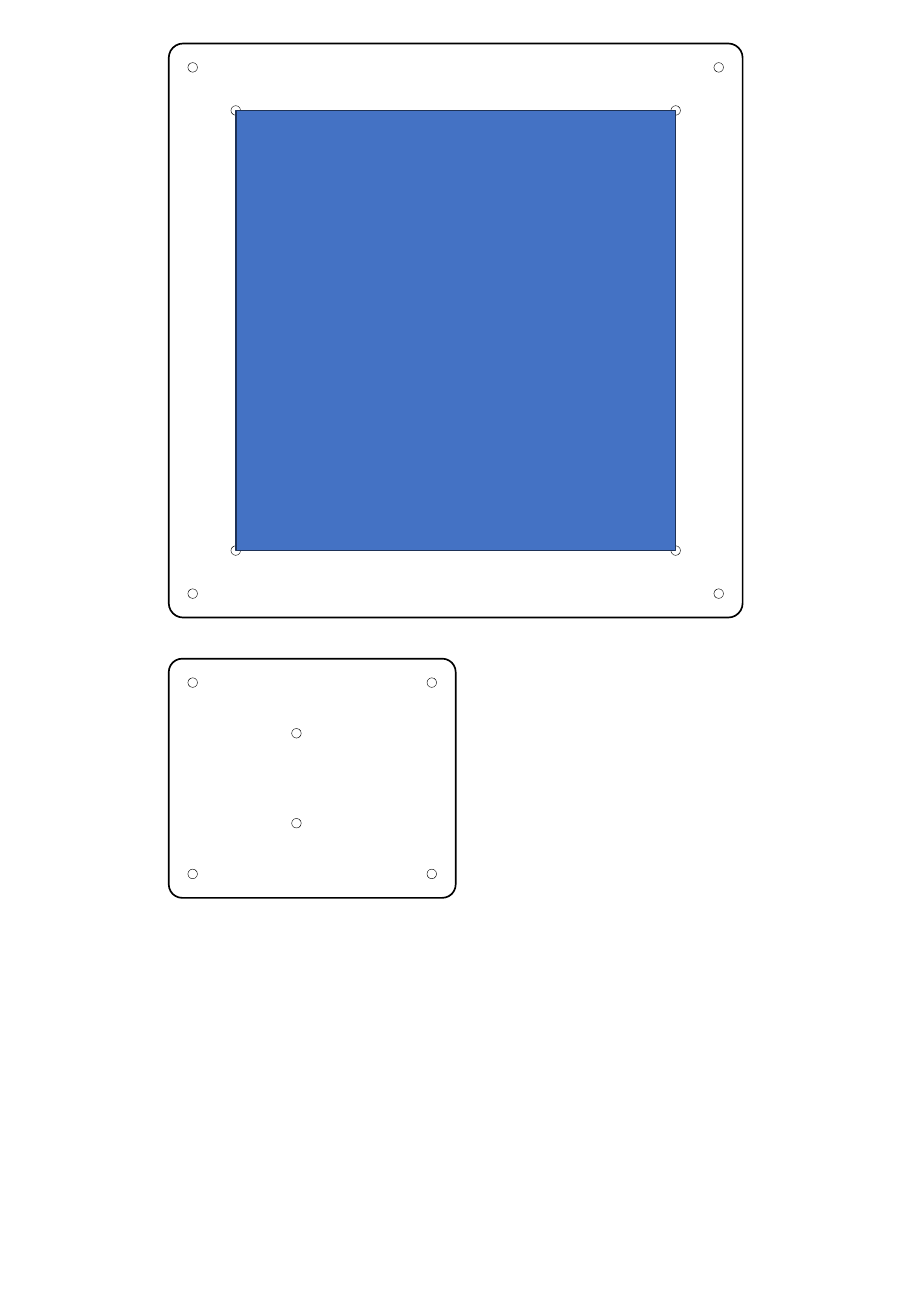
from itertools import product

from pptx import Presentation
from pptx.dml.color import RGBColor as Rgb
from pptx.enum.shapes import MSO_SHAPE as Preset
from pptx.util import Cm, Pt

COLORS = {"outline": "000000", "panel": "4472C4", "panel_edge": "1E3256"}
HOLE_SIZE = 0.2
EDGE_INSET = 0.5
PANEL_INSET = 1.4


class Drawing:
    def __init__(self, slide):
        self.slide = slide

    def outline(self, preset, left, top, width, height, line="outline", weight=1, fill=None):
        shape = self.slide.shapes.add_shape(preset, Cm(left), Cm(top), Cm(width), Cm(height))
        shape.shadow.inherit = False
        if fill:
            shape.fill.solid()
            shape.fill.fore_color.rgb = Rgb.from_string(COLORS[fill])
        else:
            shape.fill.background()
        shape.line.color.rgb = Rgb.from_string(COLORS[line])
        shape.line.width = Pt(weight)
        return shape

    def plate(self, left, top, width, height, radius):
        plate = self.outline(Preset.ROUNDED_RECTANGLE, left, top, width, height)
        plate.adjustments[0] = radius / min(width, height)

    def hole(self, x, y):
        corner = HOLE_SIZE / 2
        self.outline(Preset.OVAL, x - corner, y - corner, HOLE_SIZE, HOLE_SIZE, weight=0.25)

    def corner_holes(self, left, top, width, height, inset):
        columns = (left + inset, left + width - inset)
        rows = (top + inset, top + height - inset)
        for x, y in product(columns, rows):
            self.hole(x, y)

    def panel(self, left, top, size):
        self.outline(Preset.RECTANGLE, left, top, size, size, line="panel_edge", fill="panel")


def main():
    presentation = Presentation()
    presentation.slide_width, presentation.slide_height = Cm(19.05), Cm(27.51)
    drawing = Drawing(presentation.slides.add_slide(presentation.slide_layouts[6]))

    left, base_top, base_size = 3.53, 0.91, 12
    drawing.plate(left, base_top, base_size, base_size, radius=0.3)
    for inset in (PANEL_INSET, EDGE_INSET):
        drawing.corner_holes(left, base_top, base_size, base_size, inset)

    bracket_top, bracket_width, bracket_height = 13.77, 6, 5
    drawing.plate(left, bracket_top, bracket_width, bracket_height, radius=0.28)
    drawing.corner_holes(left, bracket_top, bracket_width, bracket_height, EDGE_INSET)
    bracket_middle = bracket_top + bracket_height / 2
    for offset in (-0.94, 0.94):
        drawing.hole(left + 2.67, bracket_middle + offset)

    drawing.panel(left + PANEL_INSET, base_top + PANEL_INSET, base_size - 2 * PANEL_INSET)
    presentation.save("out.pptx")


if __name__ == "__main__":
    main()
